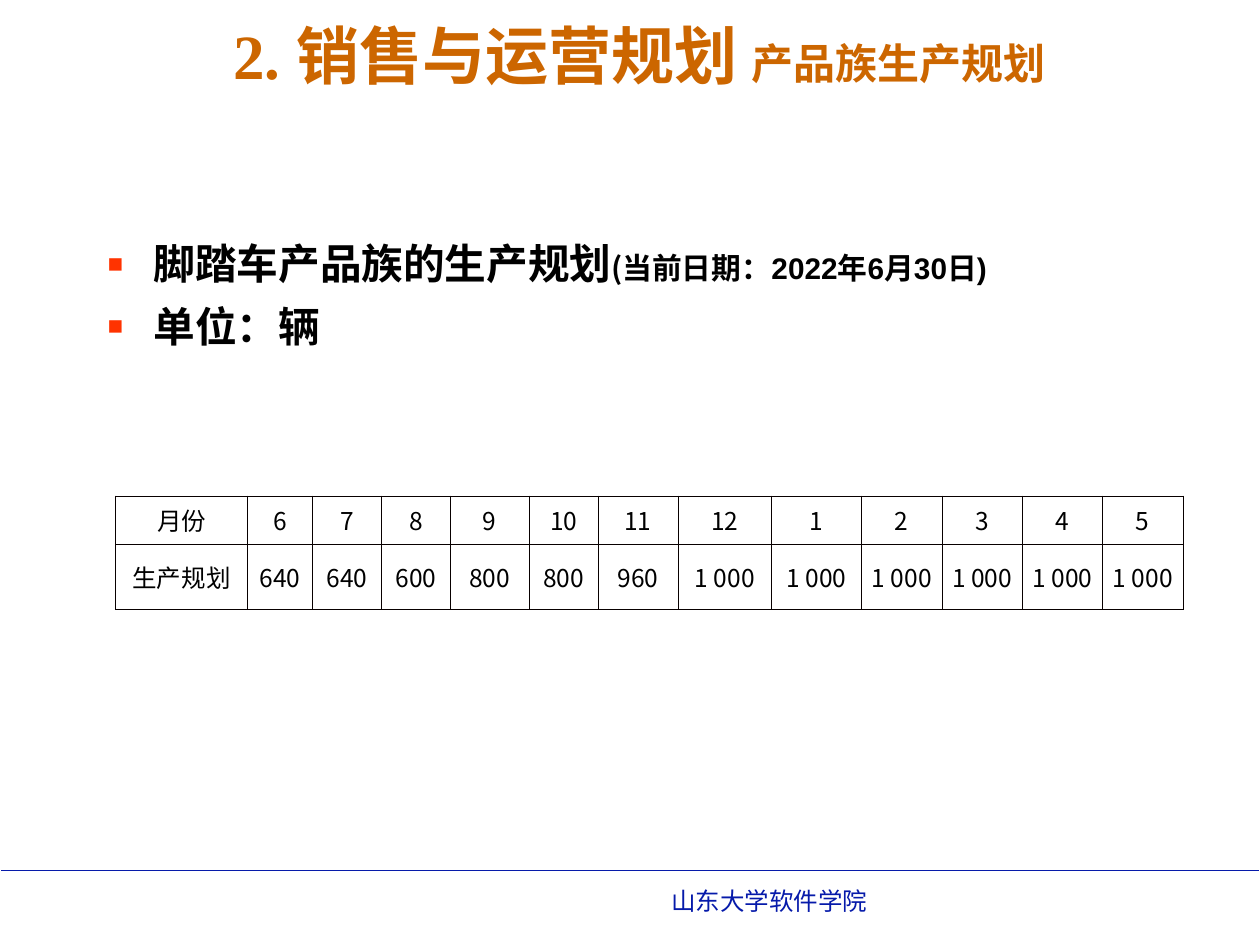
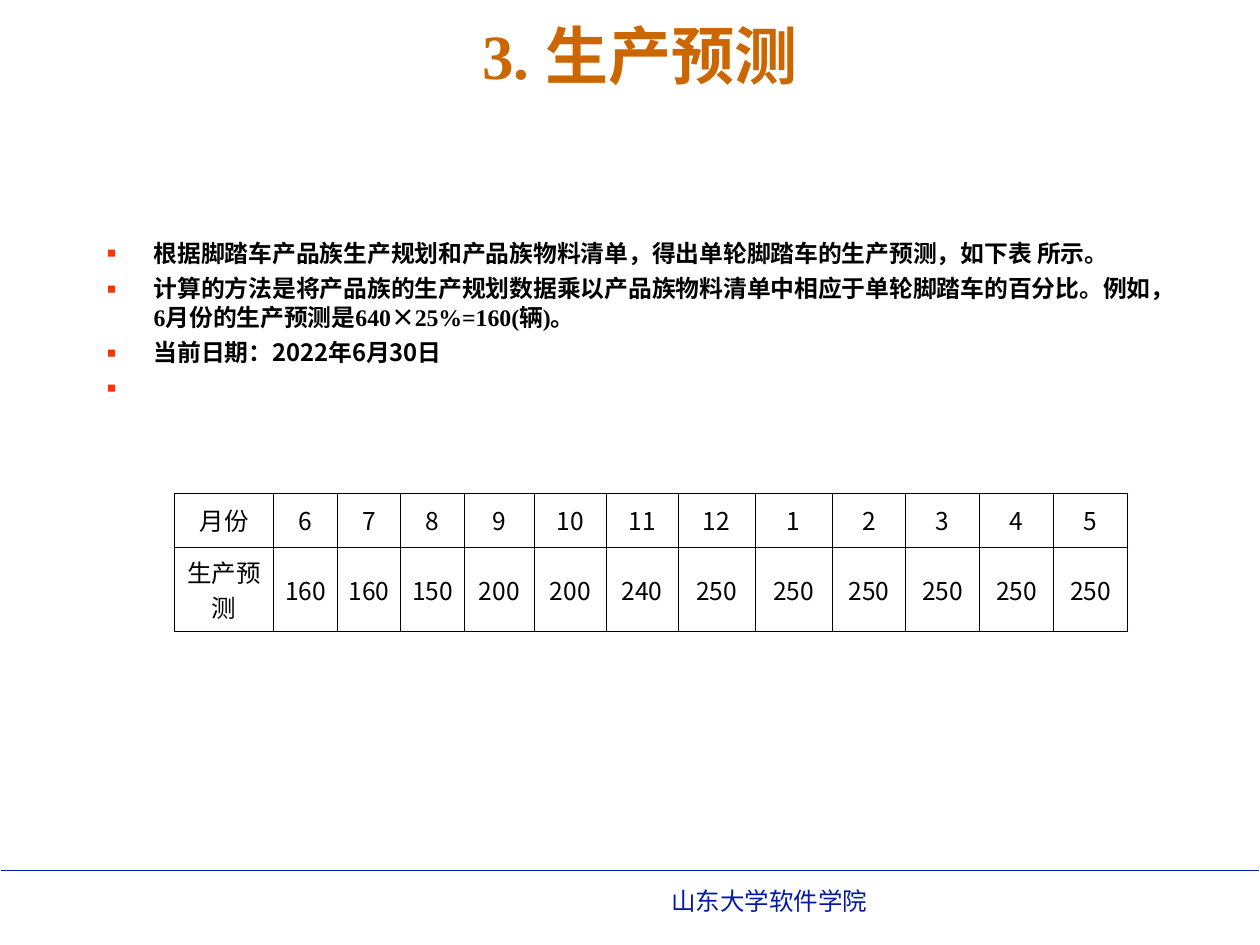
import pptx
import pptx.dml.color
import pptx.enum.shapes
import pptx.enum.text
import pptx.oxml
import pptx.oxml.ns
import pptx.util
from lxml import etree
from pptx.util import Cm

ORANGE, NAVY, RED = "CC6600", "061AAA", "FF3300"
BLACK, BORDER = "000000", "080000"
SANS, ARIAL, TIMES = "Noto Sans CJK SC", "Arial", "Times New Roman"
TITLE_ONLY = 5
MONTHS = [6, 7, 8, 9, 10, 11, 12, 1, 2, 3, 4, 5]


def color(hex_string):
    return pptx.dml.color.RGBColor.from_string(hex_string)


def add_element(parent, tag, **attributes):
    return etree.SubElement(parent, pptx.oxml.ns.qn(tag), attributes)


def add_run(paragraph, text, size, font_name, hex_string=BLACK, bold=False):
    run = paragraph.add_run()
    run.text = text
    run.font.size = pptx.util.Pt(size)
    run.font.name = font_name
    run.font.bold = bold
    run.font.color.rgb = color(hex_string)
    # Chinese characters always use the sans face
    add_element(run.font._element, "a:ea", typeface=SANS)


def add_title(slide, parts):
    title = slide.shapes.title
    title.left, title.top = Cm(1.02), Cm(0.33)
    title.width, title.height = Cm(23.75), Cm(1.52)
    frame = title.text_frame
    frame.auto_size = pptx.enum.text.MSO_AUTO_SIZE.NONE
    frame.vertical_anchor = pptx.enum.text.MSO_ANCHOR.MIDDLE
    paragraph = frame.paragraphs[0]
    paragraph.alignment = pptx.enum.text.PP_ALIGN.CENTER
    for text, size in parts:
        add_run(paragraph, text, size, TIMES, ORANGE, bold=True)


def add_text_frame(slide, left, top, width, height):
    frame = slide.shapes.add_textbox(Cm(left), Cm(top), Cm(width), Cm(height)).text_frame
    frame.word_wrap = True
    return frame


def add_footer(slide):
    line = slide.shapes.add_connector(
        pptx.enum.shapes.MSO_CONNECTOR.STRAIGHT, Cm(0.03), Cm(17.55), Cm(25.37), Cm(17.55))
    line.line.color.rgb = color(NAVY)
    line.line.width = pptx.util.Pt(1)
    add_element(line._element.spPr, "a:effectLst")
    frame = add_text_frame(slide, 13.28, 17.73, 11, 0.86)
    add_run(frame.paragraphs[0], "山东大学软件学院", 14, ARIAL, NAVY)


def add_bullet(paragraph):
    properties = paragraph._p.get_or_add_pPr()
    properties.set("marL", str(Cm(0.95)))
    properties.set("indent", str(-Cm(0.95)))
    bullet_color = add_element(properties, "a:buClr")
    add_element(bullet_color, "a:srgbClr", val=RED)
    add_element(properties, "a:buSzPct", val="120000")
    add_element(properties, "a:buFont", typeface=ARIAL)
    add_element(properties, "a:buChar", char="▪")


def add_bullets(slide, height, space_before, items):
    """Each item is a list of (text, size, font name) runs."""
    frame = add_text_frame(slide, 1.9, 4.68, 21.6, height)
    for index, runs in enumerate(items):
        paragraph = frame.paragraphs[0] if index == 0 else frame.add_paragraph()
        add_bullet(paragraph)
        paragraph.line_spacing = 1.0
        paragraph.space_before = pptx.util.Pt(space_before if index else 0)
        for text, size, font_name in runs:
            add_run(paragraph, text, size, font_name, bold=True)


def set_borders(cell):
    properties = cell._tc.get_or_add_tcPr()
    for position, side in enumerate(("a:lnL", "a:lnR", "a:lnT", "a:lnB")):
        border = etree.Element(pptx.oxml.ns.qn(side), w=str(pptx.util.Pt(0.45)))
        fill = add_element(border, "a:solidFill")
        add_element(fill, "a:srgbClr", val=BORDER)
        properties.insert(position, border)


def add_month_table(slide, left, top, widths, heights, label, values):
    rows = [["月份", *MONTHS], [label, *values]]
    table = slide.shapes.add_table(
        len(rows), len(widths), Cm(left), Cm(top), Cm(sum(widths)), Cm(sum(heights))).table
    table.first_row = table.horz_banding = False
    for column, width in zip(table.columns, widths):
        column.width = Cm(width)
    for row_index, row in enumerate(rows):
        table.rows[row_index].height = Cm(heights[row_index])
        for column_index, value in enumerate(row):
            cell = table.cell(row_index, column_index)
            cell.fill.background()
            set_borders(cell)
            cell.margin_left = cell.margin_right = Cm(0.18)
            cell.vertical_anchor = pptx.enum.text.MSO_ANCHOR.MIDDLE
            paragraph = cell.text_frame.paragraphs[0]
            paragraph.alignment = pptx.enum.text.PP_ALIGN.CENTER
            add_run(paragraph, str(value), 14, SANS)


def add_base_slide(presentation, title_parts):
    slide = presentation.slides.add_slide(presentation.slide_layouts[TITLE_ONLY])
    add_footer(slide)
    add_title(slide, title_parts)
    return slide


def build_production_plan(presentation):
    slide = add_base_slide(presentation, [("2. 销售与运营规划 ", 36), ("产品族生产规划", 24)])
    date_parts = [("(当前日期：", SANS), ("2022", ARIAL), ("年", SANS), ("6", ARIAL),
                  ("月", SANS), ("30", ARIAL), ("日", SANS), (")", ARIAL)]
    add_bullets(slide, 3.12, 7, [
        [("脚踏车产品族的生产规划", 23.8, SANS)] + [(text, 17, font) for text, font in date_parts],
        [("单位：辆", 23.8, SANS)],
    ])
    widths = [2.66, 1.31, 1.39, 1.39, 1.59, 1.39, 1.61, 1.89, 1.81] + [1.62] * 4
    plan = [640, 640, 600, 800, 800, 960] + ["1 000"] * 6
    add_month_table(slide, 2.33, 10, widths, [0.97, 1.31], "生产规划", plan)


def build_production_forecast(presentation):
    slide = add_base_slide(presentation, [("3. 生产预测", 36)])
    items = [
        [("根据脚踏车产品族生产规划和产品族物料清单，得出单轮脚踏车的生产预测，如下表 所示。", SANS)],
        [("计算的方法是将产品族的生产规划数据乘以产品族物料清单中相应于单轮脚踏车的百分比。例如，", SANS),
         ("6", TIMES), ("月份的生产预测是", SANS), ("640", TIMES), ("×", SANS),
         ("25%=160(", TIMES), ("辆", SANS), (")", TIMES), ("。", SANS)],
        [("当前日期：2022年6月30日", SANS)],
        [(" ", SANS)],  # the last bullet stands alone
    ]
    add_bullets(slide, 4.17, 4, [[(text, 13.6, font) for text, font in runs] for runs in items])
    widths = [2, 1.28, 1.28, 1.28, 1.41, 1.45, 1.45, 1.55, 1.55] + [1.49] * 4
    forecast = [160, 160, 150, 200, 200, 240] + [250] * 6
    add_month_table(slide, 3.52, 9.94, widths, [1.09, 1.7], "生产预测", forecast)


def main():
    presentation = pptx.Presentation()
    presentation.slide_width, presentation.slide_height = Cm(25.4), Cm(19.05)
    build_production_plan(presentation)
    build_production_forecast(presentation)
    presentation.save("out.pptx")


if __name__ == "__main__":
    main()
